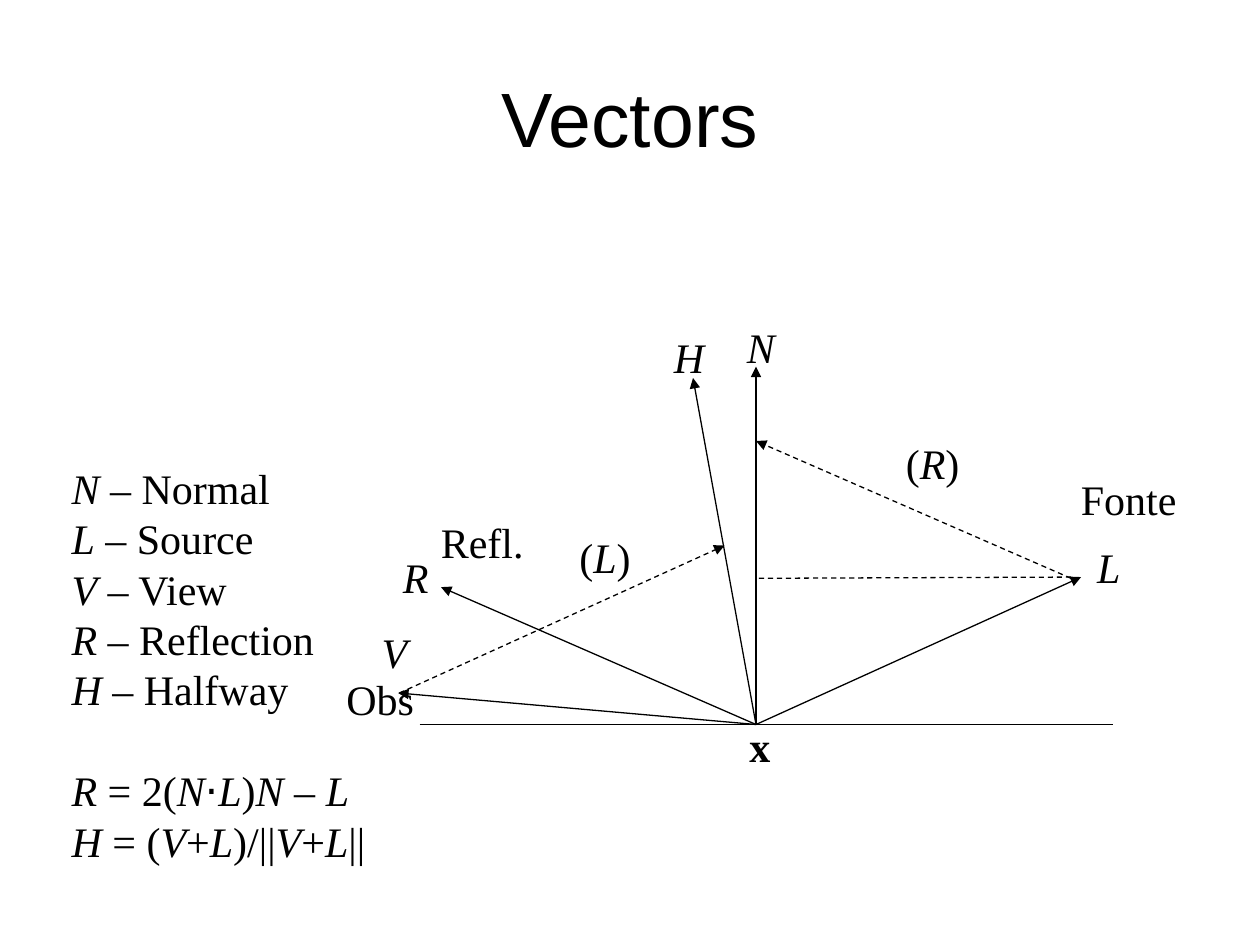
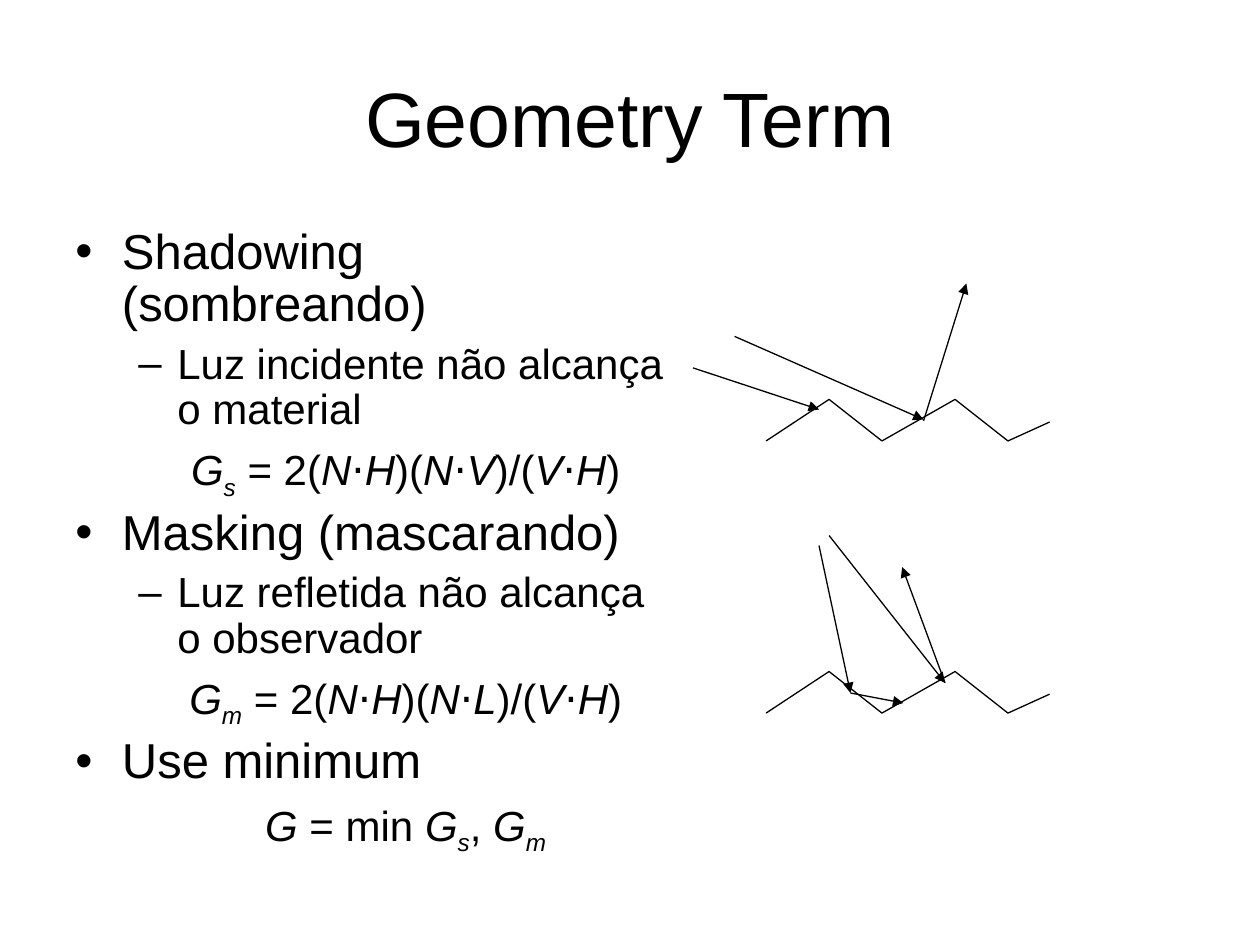
from lxml.etree import SubElement
from pptx import Presentation
from pptx.dml.color import RGBColor
from pptx.enum.dml import MSO_LINE
from pptx.enum.shapes import MSO_CONNECTOR
from pptx.enum.text import MSO_ANCHOR, MSO_AUTO_SIZE, PP_ALIGN
from pptx.oxml.ns import qn
from pptx.util import Emu, Pt

SCALE = 9144
INK = "000000"
SANS = "Arial"
SERIF = "Times New Roman"
PITCH = Pt(28.8)


def px(n):
    """Turn a length in px into EMU."""
    return Emu(n * SCALE)


def tint(hue):
    """Turn a hex string into a colour."""
    return RGBColor.from_string(hue)


def frame(slide, box, wrap=True, anchor=MSO_ANCHOR.TOP):
    """Add an empty text box and return its text frame."""
    body = slide.shapes.add_textbox(*map(px, box)).text_frame
    body.word_wrap = wrap
    body.auto_size = MSO_AUTO_SIZE.NONE if wrap else MSO_AUTO_SIZE.SHAPE_TO_FIT_TEXT
    body.vertical_anchor = anchor
    return body


def write(body, text, size=24, font=SERIF, bold=False, align=PP_ALIGN.LEFT,
          space=None, before=0, bullet=None, left=0, hang=0):
    """Add a paragraph where *...* is italic and ~...~ is lowered."""
    first = not body.paragraphs[0].runs
    para = body.paragraphs[0] if first else body.add_paragraph()
    para.alignment = align
    if space:
        para.line_spacing = space
    if not first:
        para.space_before = Pt(before)
    props = para._p.get_or_add_pPr()
    if left:
        props.set("marL", str(px(left)))
        props.set("indent", str(-px(hang)))
    if bullet:
        SubElement(props, qn("a:buFont"), typeface=SANS)
        SubElement(props, qn("a:buChar"), char=bullet)
    for i, part in enumerate(text.split("*")):
        for j, piece in enumerate(part.split("~")):
            if not piece:
                continue
            run = para.add_run()
            run.text = piece
            run.font.size = Pt(size)
            run.font.name = SANS if piece == "⋅" else font
            run.font.bold = bold
            run.font.italic = i % 2 == 1
            run.font.color.rgb = tint(INK)
            if j % 2:
                run.font._element.set("baseline", "-25000")


def stroke(line):
    """Give a line the shared colour and width."""
    line.color.rgb = tint(INK)
    line.width = Pt(0.75)


def link(slide, start, end, arrow=True, dash=False):
    """Draw a straight line, with an arrowhead at its end if asked."""
    wire = slide.shapes.add_connector(MSO_CONNECTOR.STRAIGHT, *map(px, start + end))
    stroke(wire.line)
    if dash:
        wire.line.dash_style = MSO_LINE.DASH
    if arrow:
        SubElement(wire.line._get_or_add_ln(), qn("a:tailEnd"), type="triangle")
    SubElement(wire._element.spPr, qn("a:effectLst"))


def title(slide, text):
    """Write the slide title."""
    body = frame(slide, (50, 30, 900, 125), anchor=MSO_ANCHOR.MIDDLE)
    write(body, text, size=44, font=SANS, align=PP_ALIGN.CENTER)


def legend(slide, box):
    """List the vector names and the two formulas."""
    body = frame(slide, box, wrap=False)
    for text in ("*N* – Normal", "*L* – Source", "*V* – View",
                 "*R* – Reflection", "*H* – Halfway"):
        write(body, text, space=PITCH)
    write(body, "*R* = 2(*N*⋅*L*)*N* – *L*", space=PITCH, before=28.8)
    write(body, "*H* = (*V*+*L*)/||*V*+*L*||", space=PITCH)


def fan(slide, box):
    """Draw the vectors that leave the surface point, with their labels."""
    left, top, wide, high = box

    def at(x, y):
        return left + x, top + y

    root = at(335, high)
    link(slide, at(68, high), at(618, high), arrow=False)
    for tip in ((335, 41), (593, 208), (85, 216), (51, 300), (285, 50)):
        link(slide, root, at(*tip))
    link(slide, at(585, 208), at(335, 209), arrow=False, dash=True)
    link(slide, at(585, 209), at(335, 100), dash=True)
    link(slide, at(52, 300), at(310, 183), dash=True)
    labels = (("*N*", 318, 0, 46), ("*L*", 596, 175, 42), ("*R*", 45, 183, 44),
              ("*V*", 28, 242, 44), ("*H*", 260, 8, 48), ("(*R*)", 444, 92, 68),
              ("(*L*)", 185, 167, 66), ("x", 320, 317, 40),
              ("Fonte", 583, 121, 102), ("Obs", 0, 280, 80), ("Refl.", 75, 155, 92))
    for text, x, y, span in labels:
        body = frame(slide, (*at(x, y), span, 50))
        write(body, text, space=PITCH, bold=text == "x")


def terms(slide, box):
    """Write the bullets and formulas of the geometry term."""
    body = frame(slide, box)
    head = dict(size=28, before=7, bullet="•", left=37, hang=37)
    note = dict(before=6, bullet="–", left=81, hang=31)
    rule = dict(before=6, align=PP_ALIGN.CENTER, left=81, hang=31)
    lines = (("Shadowing (sombreando)", head),
             ("Luz incidente não alcança o material", note),
             ("*G~s~* = 2(*N*⋅*H*)(*N*⋅*V*)/(*V*⋅*H*)", rule),
             ("Masking (mascarando)", head),
             ("Luz refletida não alcança o observador", note),
             ("*G~m~* = 2(*N*⋅*H*)(*N*⋅*L*)/(*V*⋅*H*)", rule),
             ("Use minimum", head),
             ("*G* = min *G~s~*, *G~m~*", rule))
    for text, style in lines:
        write(body, text, font=SANS, space=0.9, **style)


def facets(slide, box, rays):
    """Draw a jagged surface and the rays that meet it."""
    left, top, wide, high = box
    low = top + high
    pen = slide.shapes.build_freeform(left, low, scale=SCALE)
    pen.add_line_segments([(left + 50, top), (left + 92, low), (left + 150, top),
                           (left + 192, low), (left + wide, low - 15)], close=False)
    ridge = pen.convert_to_shape()
    ridge.shadow.inherit = False
    ridge.fill.background()
    stroke(ridge.line)
    for x, y, u, v in rays:
        link(slide, (left + x, top + y), (left + u, top + v))


def main():
    """Build both slides and save the deck."""
    deck = Presentation()
    deck.slide_width, deck.slide_height = px(1000), px(750)
    blank = deck.slide_layouts[6]

    slide = deck.slides.add_slide(blank)
    title(slide, "Vectors")
    legend(slide, (47, 362, 253, 330))
    fan(slide, (265, 250, 679, 325))

    slide = deck.slides.add_slide(blank)
    title(slide, "Geometry Term")
    terms(slide, (50, 175, 494, 495))
    facets(slide, (608, 317, 225, 33),
           ((-25, -50, 125, 16), (125, 17, 159, -92), (-58, -25, 42, 8)))
    facets(slide, (608, 533, 225, 33),
           ((42, -100, 67, 17), (67, 17, 109, 25),
            (50, -108, 142, 9), (142, 9, 108, -83)))
    deck.save("out.pptx")


if __name__ == "__main__":
    main()
